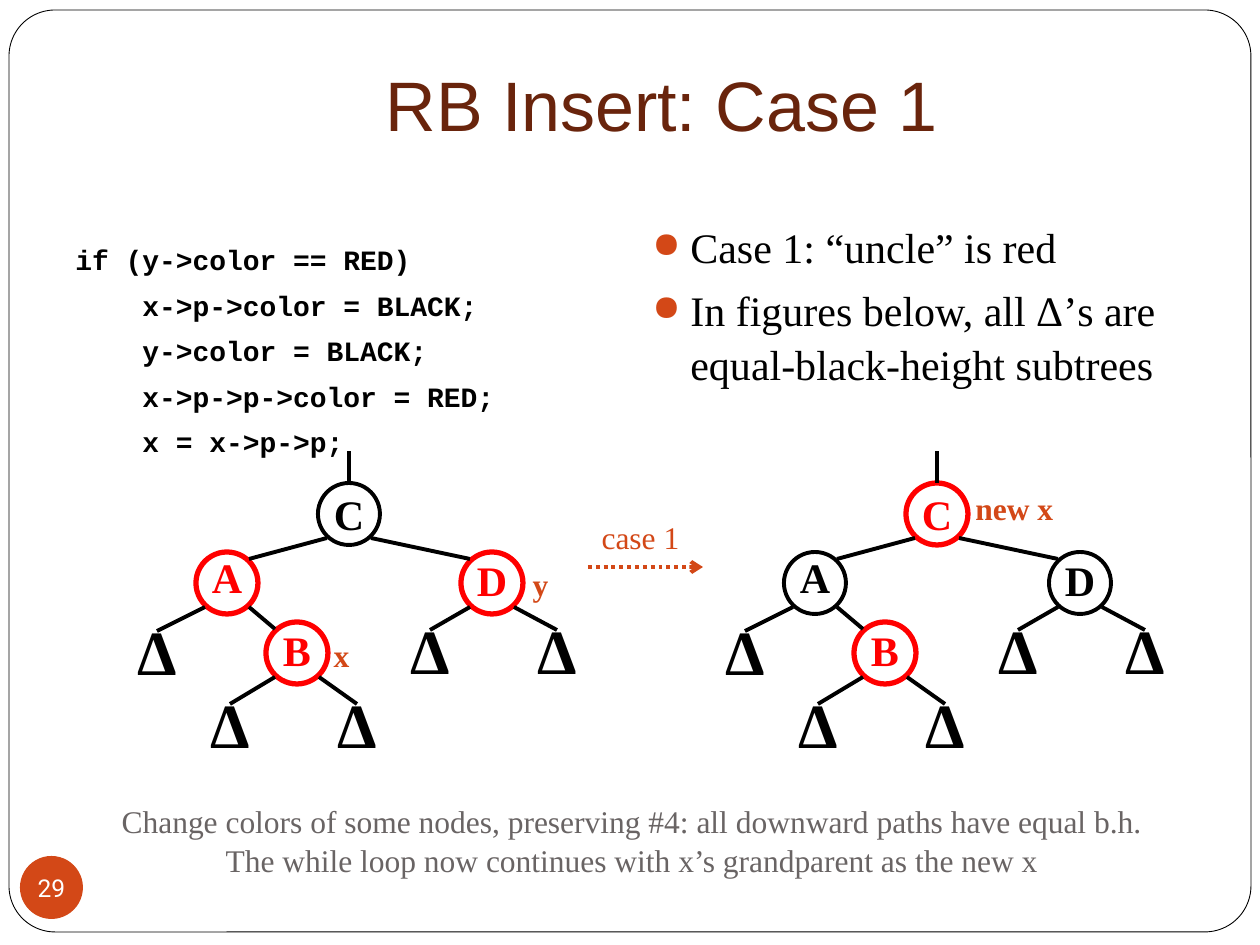
from lxml import etree
from pptx import Presentation, util as u
from pptx.dml.color import RGBColor
from pptx.enum import dml, shapes, text
from pptx.oxml.ns import qn

BLACK, WHITE, RED, ORANGE = "000000", "FFFFFF", "FF0000", "D34817"
SERIF = "Times New Roman"
NODE, CORNER = 62, (22, 24)
NODES = {"C": (349, 514, 1.0), "A": (227, 583, 0.7),
         "D": (492, 583, 0.9), "B": (297, 653, 0.9)}
LEAVES = [("A", -1, 157, 662), ("B", -1, 230, 735), ("B", 1, 357, 735),
          ("D", -1, 430, 661), ("D", 1, 557, 661)]
BRANCHES = [("C", -1, "A"), ("C", 1, "D"), ("A", 1, "B")]


def px(length):
    return u.Emu(round(length * 914400 / 126))


def color(value):
    return RGBColor.from_string(value)


def write(shape, content, size=18, font=SERIF, fill=BLACK, bold=False, align="CENTER",
          anchor="MIDDLE", wrap=False, spacing=1.0, before=0, bullet=None, insets=None):
    frame = shape.text_frame
    frame.word_wrap = wrap
    frame.vertical_anchor = getattr(text.MSO_ANCHOR, anchor)
    if insets:
        (frame.margin_left, frame.margin_top,
         frame.margin_right, frame.margin_bottom) = map(px, insets)
    for index, line in enumerate(content.split("\n")):
        para = frame.add_paragraph() if index else frame.paragraphs[0]
        if bullet:
            add_bullet(para, bullet)
        para.alignment = getattr(text.PP_ALIGN, align)
        para.line_spacing = spacing
        para.space_before = u.Pt(before if index else 0)
        span = para.add_run()
        span.text = line
        span.font.size = u.Pt(size)
        span.font.name = font
        span.font.bold = bold
        span.font.color.rgb = color(fill)


def add_bullet(para, fill):
    props = para._p.get_or_add_pPr()
    props.set("marL", str(px(38)))
    props.set("indent", str(-px(38)))
    tint = etree.SubElement(props, qn("a:buClr"))
    etree.SubElement(tint, qn("a:srgbClr"), val=fill)
    etree.SubElement(props, qn("a:buSzPct"), val="85000")
    etree.SubElement(props, qn("a:buChar"), char="●")


class Sketch:
    def __init__(self, page):
        self.page = page

    def shape(self, kind, left, top, width, height, fill=WHITE, line=None, weight=2.25):
        shape = self.page.shapes.add_shape(
            getattr(shapes.MSO_SHAPE, kind), px(left), px(top), px(width), px(height))
        shape.shadow.inherit = False
        shape.fill.solid()
        shape.fill.fore_color.rgb = color(fill)
        if line:
            shape.line.color.rgb = color(line)
            shape.line.width = u.Pt(weight)
        else:
            shape.line.fill.background()
        return shape

    def label(self, left, top, width, height, content, **style):
        box = self.page.shapes.add_textbox(px(left), px(top), px(width), px(height))
        write(box, content, **style)

    def circle(self, x, y, content, line=None, weight=2.25, **style):
        half = NODE // 2
        shape = self.shape("OVAL", x - half, y - half, NODE, NODE, line=line, weight=weight)
        write(shape, content, bold=True, **style)
        return shape

    def line(self, start, end, stroke=BLACK):
        line = self.page.shapes.add_connector(
            shapes.MSO_CONNECTOR.STRAIGHT, *map(px, (*start, *end)))
        line.line.color.rgb = color(stroke)
        line.line.width = u.Pt(2.25)
        etree.SubElement(line._element.spPr, qn("a:effectLst"))
        return line

    def arrow(self, start, end, stroke):
        line = self.line(start, end, stroke)
        line.line.dash_style = dml.MSO_LINE.ROUND_DOT
        etree.SubElement(line.line._get_or_add_ln(), qn("a:tailEnd"), type="arrow")

    def tree(self, shift, red_nodes):
        dx, dy = CORNER
        centers, circles = {}, {}
        for name, (x, y, spacing) in NODES.items():
            tint, weight = (RED, 3) if name in red_nodes else (BLACK, 2.25)
            centers[name] = (x + shift, y)
            circles[name] = self.circle(x + shift, y, name, line=tint, weight=weight,
                                        size=24, fill=tint, spacing=spacing)
        for parent, side, child in BRANCHES:
            (x, y), (child_x, child_y) = centers[parent], centers[child]
            self.line((x + side * dx, y + dy), (child_x - side * dx, child_y - dy))
        for parent, side, leaf_x, leaf_y in LEAVES:
            x, y = centers[parent]
            leaf = self.circle(leaf_x + shift, leaf_y, "Δ", size=36, spacing=0.6)
            edge = self.line((x + side * dx, y + dy), (leaf_x + shift, leaf_y - NODE // 2))
            edge.end_connect(leaf, 0)
        x, y = centers["C"]
        stem = self.line((x, y - NODE // 2), (x, 451))
        stem.begin_connect(circles["C"], 0)


def main():
    deck = Presentation()
    deck.slide_width, deck.slide_height = px(1260), px(945)
    sketch = Sketch(deck.slides.add_slide(deck.slide_layouts[6]))

    frame = sketch.shape("ROUNDED_RECTANGLE", 9, 10, 1242, 922, line=BLACK, weight=0.5)
    frame.adjustments[0] = 0.05
    sketch.label(126, 0, 1071, 158, "RB Insert: Case 1", size=40, font="Arial",
                 fill="69240C", anchor="BOTTOM", wrap=True, insets=(13, 6, 13, 13))

    body = dict(align="LEFT", anchor="TOP", wrap=True, spacing=1.07)
    code = """if (y->color == RED)
    x->p->color = BLACK;
    y->color = BLACK;
    x->p->p->color = RED;
    x = x->p->p;"""
    sketch.label(63, 234, 557, 231, code, size=16, font="Courier New", bold=True,
                 before=5.5, **body)
    sketch.label(640, 212, 557, 242, "Case 1: “uncle” is red\n"
                 "In figures below, all Δ’s are equal-black-height subtrees",
                 size=24, bullet=ORANGE, before=5, **body)

    sketch.tree(0, "ADB")
    sketch.tree(588, "CB")
    sketch.arrow((588, 567), (703, 567), ORANGE)

    sketch.label(320, 628, 43, 54, "x", fill=ORANGE, bold=True)
    sketch.label(520, 557, 41, 54, "y", fill=ORANGE, bold=True)
    sketch.label(963, 481, 112, 54, "new x", fill=ORANGE, bold=True, align="LEFT")
    sketch.label(588, 512, 105, 50, "case 1", fill=ORANGE)
    sketch.label(48, 791, 1168, 97,
                 "Change colors of some nodes, preserving #4: all downward paths have equal b.h.\n"
                 "The while loop now continues with x’s grandparent as the new x",
                 fill="696464", spacing=1.05)

    badge = sketch.shape("OVAL", 20, 856, 63, 63, fill=ORANGE)
    write(badge, "29", size=14, font="Roboto", fill=WHITE, insets=(0, 0, 0, 0))
    deck.save("out.pptx")


if __name__ == "__main__":
    main()
